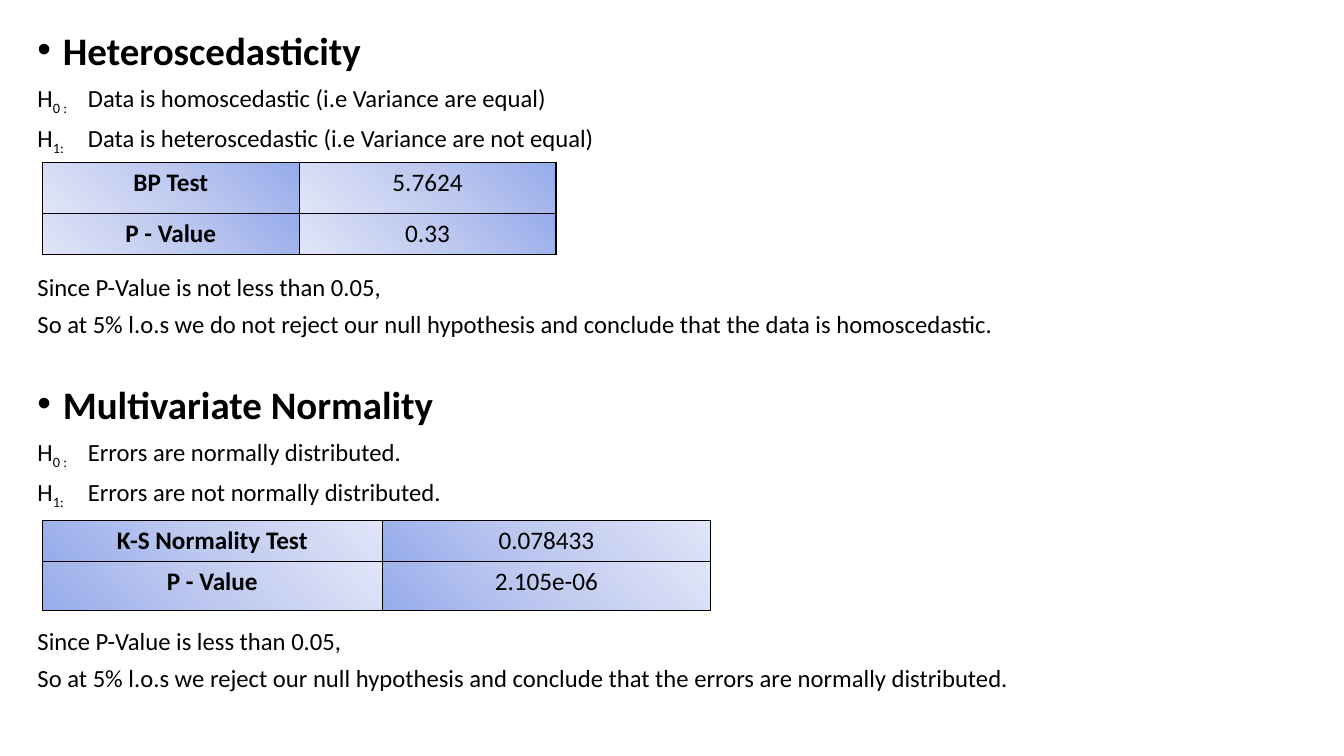
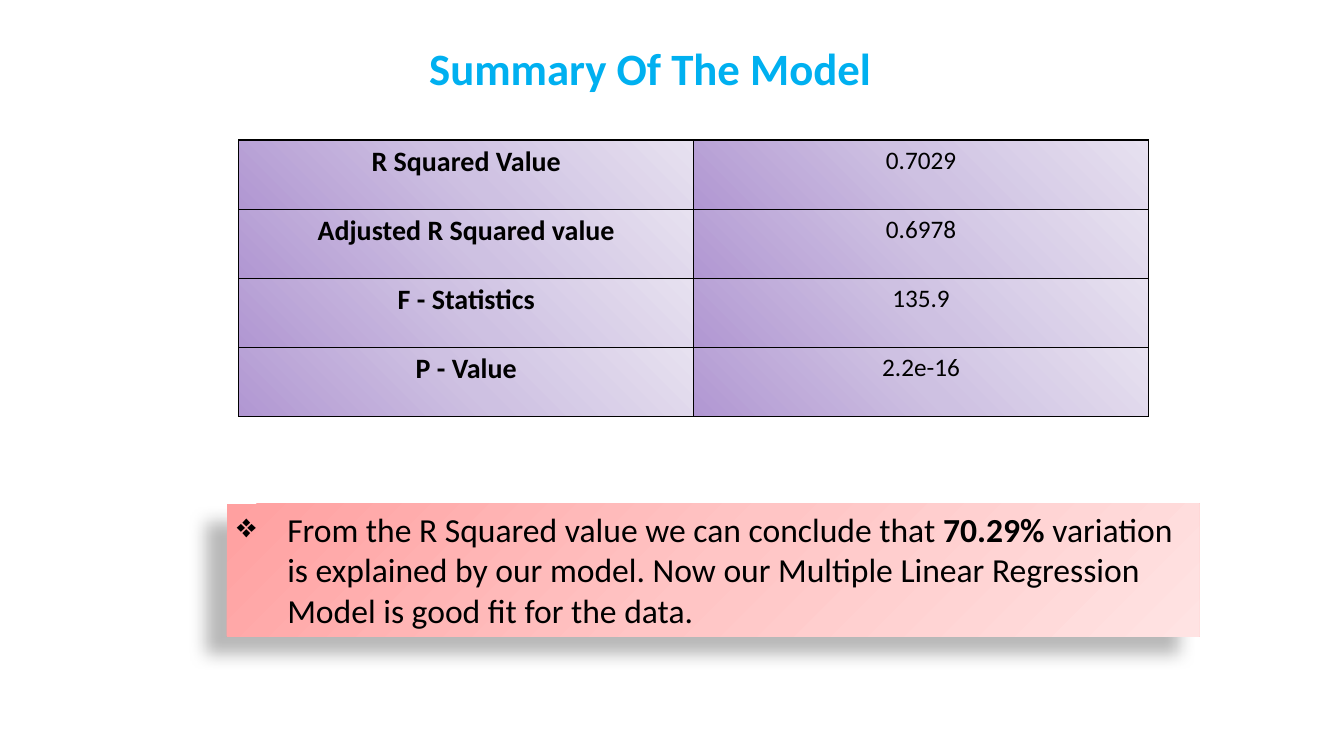
from dataclasses import dataclass

from lxml import etree
from pptx import Presentation
from pptx.dml.color import RGBColor
from pptx.enum import shapes, text
from pptx.oxml import parse_xml
from pptx.oxml.ns import nsdecls, qn
from pptx.util import Cm, Pt


@dataclass(frozen=True)
class Theme:
    font: str = "Calibri"
    ink: str = "000000"
    title: str = "00B0F0"
    blue: tuple = ("96ABEA", "C0CBF0", "E0E5F7")
    purple: tuple = ("B197D2", "CEC1E2", "E7E1F0")
    red: tuple = ("FFA0A0", "FFC5C5", "FFE3E3")
    title_size: float = 32
    heading_size: float = 27.8
    body_size: float = 17.6
    cell_size: float = 18
    label_size: float = 20
    callout_size: float = 24
    border: float = 1
    line_spacing: float = 0.8
    paragraph_gap: float = 10
    table_gap: float = 88.6
    section_gap: float = 36.2


THEME = Theme()


def add_text(paragraph, content, size, color=THEME.ink, bold=False, baseline=0):
    run = paragraph.add_run()
    run.text = content
    run.font.name = THEME.font
    run.font.size = Pt(size)
    run.font.bold = bold
    run.font.color.rgb = RGBColor.from_string(color)
    if baseline:
        run.font._element.set("baseline", str(baseline * 1000))


def next_paragraph(frame):
    """Return the unused first paragraph, or a new one."""
    first = frame.paragraphs[0]
    return frame.add_paragraph() if first.runs else first


def set_indent(paragraph, bullet=None, hanging=0, tab=None):
    properties = paragraph._p.get_or_add_pPr()
    properties.set("marL", str(Cm(hanging)))
    properties.set("indent", str(-Cm(hanging)))
    if bullet:
        etree.SubElement(properties, qn("a:buChar"), char=bullet)
    else:
        etree.SubElement(properties, qn("a:buNone"))
    if tab:
        tabs = etree.SubElement(properties, qn("a:tabLst"))
        etree.SubElement(tabs, qn("a:tab"), pos=str(Cm(tab)), algn="l")


def place(shape, left, top, width, height):
    shape.left, shape.top = Cm(left), Cm(top)
    shape.width, shape.height = Cm(width), Cm(height)


def set_gradient(owner, element, colors, angle=None):
    """Fill with three even stops; without an angle, spread from the lower left."""
    owner.fill.gradient()
    stops = "".join(
        f'<a:gs pos="{index * 50000}"><a:srgbClr val="{color}"/></a:gs>'
        for index, color in enumerate(colors)
    )
    if angle is None:
        course = ('<a:path path="circle"><a:fillToRect t="100000" r="100000"/>'
                  '</a:path>')
    else:
        course = f'<a:lin ang="{angle * 60000}" scaled="0"/>'
    gradient = parse_xml(
        f'<a:gradFill {nsdecls("a")} rotWithShape="1">'
        f'<a:gsLst>{stops}</a:gsLst>{course}</a:gradFill>'
    )
    element.replace(element.find(qn("a:gradFill")), gradient)


def set_borders(properties):
    for index, side in enumerate(("lnL", "lnR", "lnT", "lnB")):
        properties.insert(index, parse_xml(
            f'<a:{side} {nsdecls("a")} w="{Pt(THEME.border)}"><a:solidFill>'
            f'<a:srgbClr val="{THEME.ink}"/></a:solidFill></a:{side}>'
        ))


def add_value_table(slide, rows, left, top, widths, heights, colors,
                    angle=None, label_size=THEME.cell_size):
    """Add a table of bold labels and their values."""
    table = slide.shapes.add_table(
        len(rows), len(widths), Cm(left), Cm(top),
        Cm(sum(widths)), Cm(sum(heights)),
    ).table
    table.first_row = table.horz_banding = False
    for column, width in zip(table.columns, widths):
        column.width = Cm(width)
    for row, height, contents in zip(table.rows, heights, rows):
        row.height = Cm(height)
        for index, (cell, content) in enumerate(zip(row.cells, contents)):
            is_label = index == 0
            paragraph = cell.text_frame.paragraphs[0]
            paragraph.alignment = text.PP_ALIGN.CENTER
            add_text(paragraph, content, bold=is_label,
                     size=label_size if is_label else THEME.cell_size)
            properties = cell._tc.get_or_add_tcPr()
            set_gradient(cell, properties, colors, angle)
            set_borders(properties)


def add_body_paragraph(frame, gap=THEME.paragraph_gap, **indent):
    paragraph = next_paragraph(frame)
    set_indent(paragraph, **indent)
    paragraph.line_spacing = THEME.line_spacing
    paragraph.space_before = Pt(gap)
    return paragraph


def add_test_section(frame, heading, hypotheses, conclusions,
                     gap=THEME.paragraph_gap):
    """Write one test, leaving room for its table before the conclusions."""
    paragraph = add_body_paragraph(frame, gap, bullet="•", hanging=0.64)
    add_text(paragraph, heading, THEME.heading_size, bold=True)
    for mark, hypothesis in zip(("0 :", "1:"), hypotheses):
        paragraph = add_body_paragraph(frame, tab=0.92)
        add_text(paragraph, "H", THEME.body_size)
        add_text(paragraph, mark, THEME.body_size, baseline=-22)
        add_text(paragraph, "\t" + hypothesis, THEME.body_size)
    for conclusion, space in zip(conclusions,
                                 (THEME.table_gap, THEME.paragraph_gap)):
        add_text(add_body_paragraph(frame, space), conclusion, THEME.body_size)


def add_title(slide, content):
    title = slide.shapes.title
    place(title, 5.72, 0.56, 21.34, 2.46)
    frame = title.text_frame
    frame.auto_size = text.MSO_AUTO_SIZE.NONE
    frame.vertical_anchor = text.MSO_ANCHOR.MIDDLE
    paragraph = frame.paragraphs[0]
    paragraph.alignment = text.PP_ALIGN.CENTER
    paragraph.line_spacing = 0.9
    add_text(paragraph, content, THEME.title_size, THEME.title, bold=True)


def add_callout(slide, parts):
    """Add the shaded conclusion box; parts are (text, bold) pairs."""
    box = slide.shapes.add_shape(shapes.MSO_SHAPE.RECTANGLE, 0, 0, 0, 0)
    place(box, 5.72, 12.7, 24.51, 3.33)
    box.line.fill.background()
    properties = box._element.spPr
    set_gradient(box, properties, THEME.red, angle=45)
    box.shadow.inherit = False
    properties.find(qn("a:effectLst")).append(parse_xml(
        f'<a:outerShdw {nsdecls("a")} blurRad="{Pt(11.8)}" dist="{Pt(19.7)}" '
        f'dir="{141 * 60000}" algn="tr" rotWithShape="0">'
        f'<a:srgbClr val="{THEME.ink}"><a:alpha val="28000"/></a:srgbClr>'
        '</a:outerShdw>'
    ))
    frame = box.text_frame
    frame.word_wrap = True
    frame.vertical_anchor = text.MSO_ANCHOR.TOP
    paragraph = frame.paragraphs[0]
    paragraph.alignment = text.PP_ALIGN.LEFT
    set_indent(paragraph, bullet="❖", hanging=1.27)
    for content, bold in parts:
        add_text(paragraph, content, THEME.callout_size, bold=bold)


def build_tests_slide(presentation):
    slide = presentation.slides.add_slide(
        presentation.slide_layouts.get_by_name("Title and Content"))
    title = slide.shapes.title.element
    title.getparent().remove(title)
    body = slide.placeholders[1]
    place(body, 0.69, 0.76, 32.49, 17.53)
    frame = body.text_frame
    frame.auto_size = text.MSO_AUTO_SIZE.NONE
    add_test_section(
        frame, "Heteroscedasticity",
        ("Data is homoscedastic (i.e Variance are equal)",
         "Data is heteroscedastic (i.e Variance are not equal)"),
        ("Since P-Value is not less than 0.05,",
         "So at 5% l.o.s we do not reject our null hypothesis and conclude "
         "that the data is homoscedastic."),
    )
    add_test_section(
        frame, "Multivariate Normality",
        ("Errors are normally distributed.",
         "Errors are not normally distributed."),
        ("Since P-Value is less than 0.05,",
         "So at 5% l.o.s we reject our null hypothesis and conclude "
         "that the errors are normally distributed."),
        gap=THEME.section_gap,
    )
    add_value_table(
        slide, (("BP Test", "5.7624"), ("P - Value", "0.33")),
        1.07, 4.09, (6.47, 6.47), (1.3, 1.03), THEME.blue, angle=135)
    add_value_table(
        slide, (("K-S Normality Test", "0.078433"), ("P - Value", "2.105e-06")),
        1.07, 13.11, (8.56, 8.28), (1.03, 1.25), THEME.blue, angle=315)


def build_summary_slide(presentation):
    slide = presentation.slides.add_slide(
        presentation.slide_layouts.get_by_name("Title Only"))
    add_title(slide, "Summary Of The Model")
    rows = (
        ("R Squared Value", "0.7029"),
        ("Adjusted R Squared value", "0.6978"),
        ("F - Statistics", "135.9"),
        ("P - Value", "2.2e-16"),
    )
    add_value_table(slide, rows, 6.02, 3.53, (11.46,) * 2,
                    (1.74,) * len(rows), THEME.purple,
                    label_size=THEME.label_size)
    add_callout(slide, (
        ("From the R Squared value we can conclude that ", False),
        ("70.29%", True),
        (" variation is explained by our model. Now our Multiple Linear "
         "Regression Model is good fit for the data.", False),
    ))


def main():
    presentation = Presentation()
    presentation.slide_width = Cm(33.87)
    presentation.slide_height = Cm(19.05)
    build_tests_slide(presentation)
    build_summary_slide(presentation)
    presentation.save("out.pptx")


if __name__ == "__main__":
    main()
